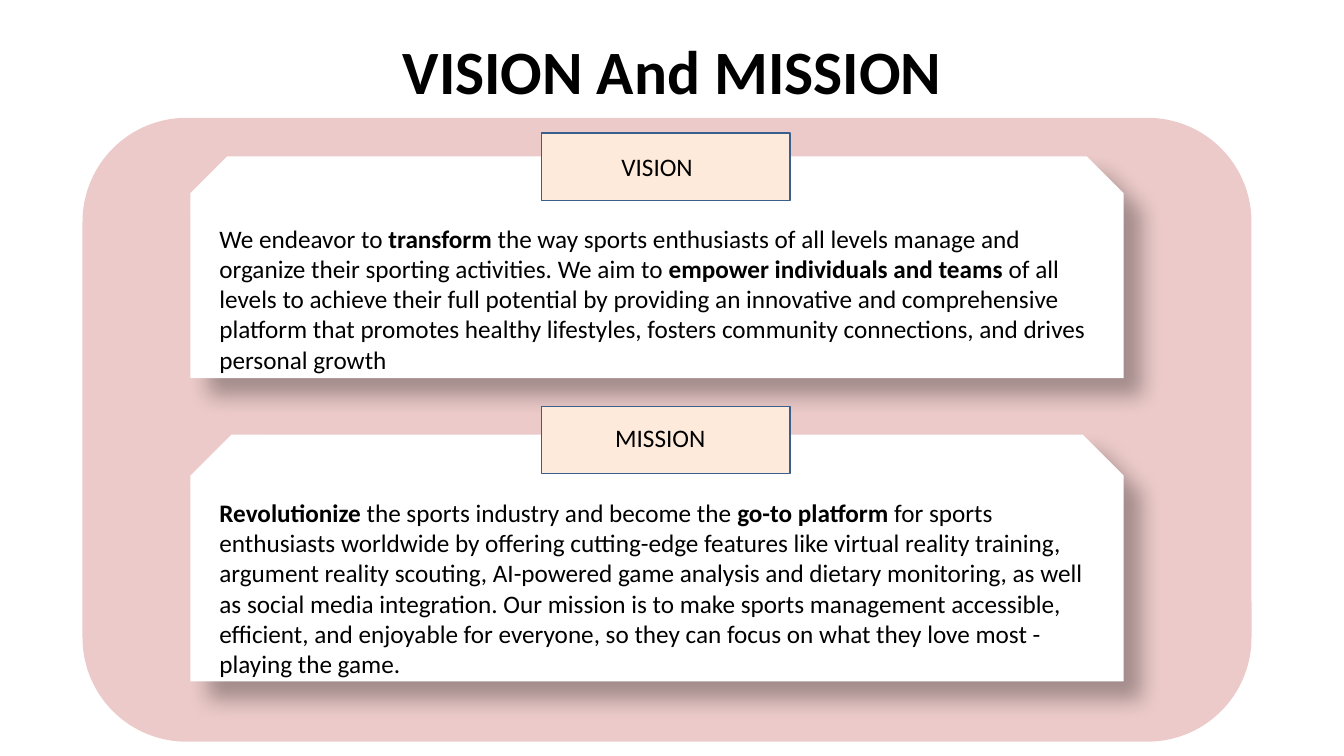
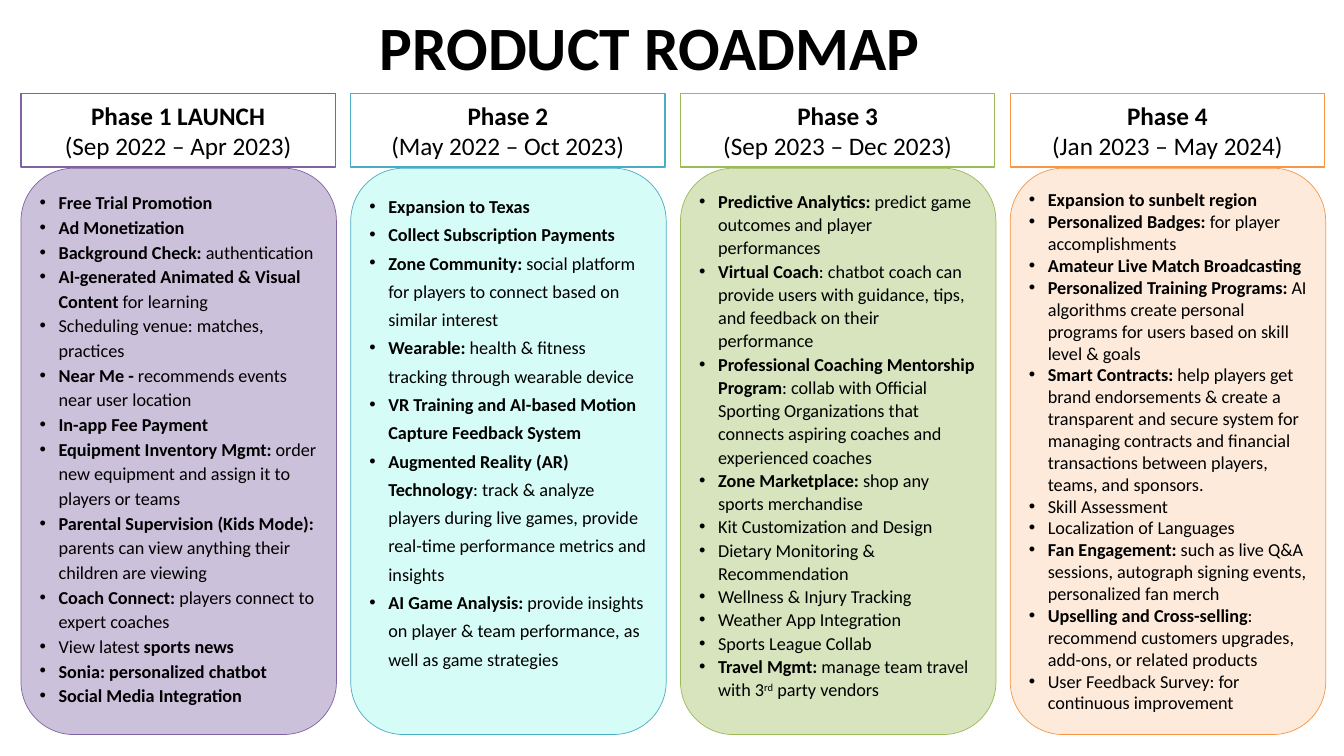
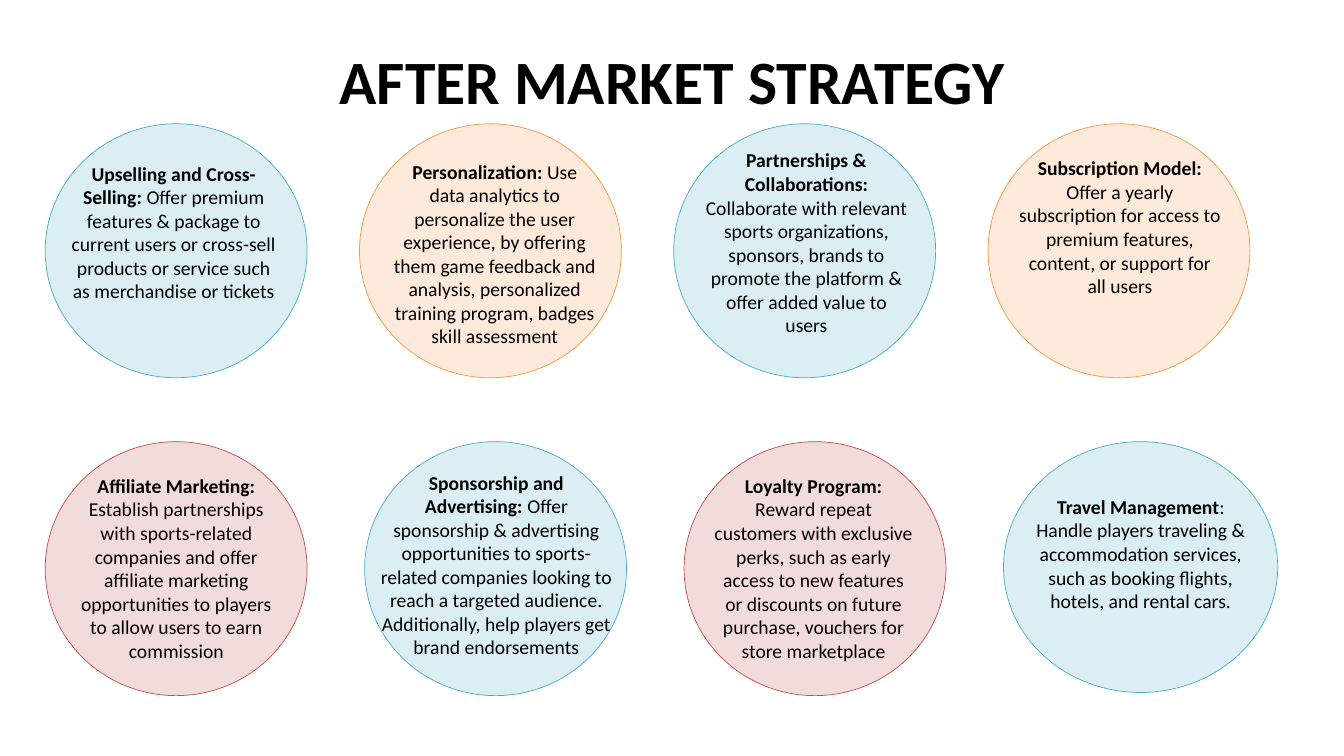
from lxml.etree import SubElement
from pptx import Presentation
from pptx.dml.color import RGBColor
from pptx.enum.shapes import MSO_SHAPE
from pptx.enum.text import MSO_ANCHOR, PP_ALIGN
from pptx.oxml.ns import qn
from pptx.util import Cm, Pt

FONT = "Calibri"
BLACK, WHITE = "000000", "FFFFFF"
ROSE, PEACH, SKY, BLUSH = "D99694", "FDEADA", "DBEEF4", "F2DCDB"
LAVENDER, MINT, SAGE = "CCC1DA", "D5FCF6", "D7E4BD"
NAVY, PURPLE, TEAL, GREEN, ORANGE, RED = (
    "3A5F8C", "8064A2", "4BACC6", "9BBB59", "F79646", "C0504D")

STATEMENTS = [
    (3.94, 5.59, 3.35, (12.9, 3.68), 5.49, "VISION",
     "We endeavor to *transform* the way sports enthusiasts of all levels manage and "
     "organize their sporting activities. We aim to *empower individuals and teams *of all "
     "levels to achieve their full potential by providing an innovative and comprehensive "
     "platform that promotes healthy lifestyles, fosters community connections, and drives "
     "personal growth"),
    (10.95, 6.22, 10.24, (12.98, 10.52), 12.4, "MISSION",
     "*Revolutionize* the sports industry and become the *go-to platform *for sports "
     "enthusiasts worldwide by offering cutting-edge features like virtual reality training, "
     "argument reality scouting, AI-powered game analysis and dietary monitoring, as well "
     "as social media integration. Our mission is to make sports management accessible, "
     "efficient, and enjoyable for everyone, so they can focus on what they love most - "
     "playing the game."),
]

PHASES = [
    ("Phase 1 LAUNCH", "(Sep 2022 – Apr 2023)", LAVENDER, PURPLE, 17.6, [
        "*Free Trial Promotion*",
        "*Ad Monetization*",
        "*Background Check: *authentication",
        "*AI-generated Animated & Visual Content *for learning",
        "Scheduling venue: matches, practices",
        "*Near Me -* recommends events near user location",
        "*In-app Fee Payment*",
        "*Equipment Inventory Mgmt:* order new equipment and assign it to players or teams",
        "*Parental Supervision (Kids Mode):* parents can view anything their children "
        "are viewing",
        "*Coach Connect: *players connect to expert coaches",
        "View latest *sports news*",
        "*Sonia: personalized chatbot*",
        "*Social Media Integration*",
    ]),
    ("Phase 2", "(May 2022 – Oct 2023)", MINT, TEAL, 20.2, [
        "*Expansion to Texas*",
        "*Collect Subscription Payments*",
        "*Zone Community: *social platform for players to connect based on similar interest",
        "*Wearable: *health & fitness tracking through wearable device",
        "*VR Training and AI-based Motion Capture Feedback System*",
        "*Augmented Reality (AR) Technology*: track & analyze players during live games, "
        "provide real-time performance metrics and insights",
        "*AI Game Analysis: *provide insights on player & team performance, as well as "
        "game strategies",
    ]),
    ("Phase 3", "(Sep 2023 – Dec 2023)", SAGE, GREEN, 16.6, [
        "*Predictive Analytics: *predict game outcomes and player performances",
        "*Virtual Coach*: chatbot coach can provide users with guidance, tips, and feedback "
        "on their performance",
        "*Professional Coaching Mentorship Program*: collab with Official Sporting "
        "Organizations that connects aspiring coaches and experienced coaches",
        "*Zone Marketplace: *shop any sports merchandise",
        "Kit Customization and Design",
        "Dietary Monitoring & Recommendation",
        "Wellness & Injury Tracking",
        "Weather App Integration",
        "Sports League Collab",
        "*Travel Mgmt:* manage team travel with 3^rd^ party vendors",
    ]),
    ("Phase 4", "(Jan 2023 – May 2024)", PEACH, ORANGE, None, [
        "*Expansion to sunbelt region*",
        "*Personalized Badges: *for player accomplishments",
        "*Amateur Live Match Broadcasting*",
        "*Personalized Training Programs: *AI algorithms create personal programs for users "
        "based on skill level & goals",
        "*Smart Contracts: *help players get brand endorsements & create a transparent and "
        "secure system for managing contracts and financial transactions between players, "
        "teams, and sponsors.",
        "Skill Assessment",
        "Localization of Languages",
        "*Fan Engagement: *such as live Q&A sessions, autograph signing events, "
        "personalized fan merch",
        "*Upselling and Cross-selling*: recommend customers upgrades, add-ons, or related "
        "products",
        "User Feedback Survey: for continuous improvement",
    ]),
]

UPPER_STRATEGIES = [
    (SKY, TEAL, (1.42, 3.94, 5.92, 3.84), [
        "*Upselling and Cross-Selling: *Offer premium features & package to current users "
        "or cross-sell products or service such as merchandise or tickets"]),
    (PEACH, ORANGE, (9.65, 3.89, 5.64, 5.1), [
        "*Personalization: *Use data analytics to personalize the user experience, by "
        "offering them game feedback and analysis, personalized training program, badges "
        "skill assessment"]),
    (SKY, TEAL, (17.53, 3.61, 5.59, 5.05), [
        "*Partnerships & Collaborations: *Collaborate with relevant sports organizations, "
        "sponsors, brands to promote the platform & offer added value to users"]),
    (PEACH, ORANGE, (25.43, 3.81, 5.59, 3.84), [
        "*Subscription Model: *Offer a yearly subscription for access to premium features, "
        "content, or support for all users"]),
]
LOWER_STRATEGIES = [
    (BLUSH, RED, (1.65, 11.81, 5.59, 5.05), [
        "*Affiliate Marketing: *Establish partnerships with sports-related companies and "
        "offer affiliate marketing opportunities to players to allow users to earn "
        "commission"]),
    (SKY, TEAL, (9.32, 11.73, 6.38, 5.05), [
        "*Sponsorship and Advertising: *Offer sponsorship & advertising opportunities to "
        "sports-related companies looking to reach a targeted audience.",
        "Additionally, help players get brand endorsements"]),
    (BLUSH, RED, (17.75, 11.81, 5.51, 5.64), [
        "*Loyalty Program: *Reward repeat customers with exclusive perks, such as early "
        "access to new features or discounts on future purchase, vouchers for store "
        "marketplace"]),
    (SKY, TEAL, (25.7, 12.34, 6.1, 3.25), [
        "*Travel Management*: Handle players traveling & accommodation services, such as "
        "booking flights, hotels, and rental cars."]),
]


def rgb(value):
    return RGBColor.from_string(value)


def add_alpha(color, percent):
    SubElement(color, qn("a:alpha"), val=str(percent * 1000))


def add_box(slide, kind, place, fill, line=None, weight=1):
    box = slide.shapes.add_shape(kind, *map(Cm, place))
    box.shadow.inherit = False
    box.fill.solid()
    box.fill.fore_color.rgb = rgb(fill)
    if line:
        box.line.color.rgb = rgb(line)
        box.line.width = Pt(weight)
    else:
        box.line.fill.background()
    return box


def cast_shadow(box):
    effects = box._element.spPr.find(qn("a:effectLst"))
    shadow = SubElement(effects, qn("a:outerShdw"), blurRad=str(Pt(15)), dist=str(Pt(18)),
                        dir="2700000", algn="tl", rotWithShape="0")
    add_alpha(SubElement(shadow, qn("a:srgbClr"), val=BLACK), 30)


def add_bullet(paragraph):
    properties = paragraph._p.get_or_add_pPr()
    properties.set("marL", str(Cm(0.48)))
    properties.set("indent", str(-Cm(0.48)))
    SubElement(properties, qn("a:buFont"), typeface="Arial")
    SubElement(properties, qn("a:buChar"), char="•")


def add_runs(paragraph, marked, size):
    """Text between * is bold, text between ^ is superscript."""
    for i, part in enumerate(marked.split("*")):
        for j, piece in enumerate(part.split("^")):
            if not piece:
                continue
            run = paragraph.add_run()
            run.text = piece
            run.font.name = FONT
            run.font.size = Pt(size)
            run.font.bold = i % 2 == 1
            run.font.color.rgb = rgb(BLACK)
            if j % 2:
                run.font._element.set("baseline", "30000")


def write(holder, lines, size, align=PP_ALIGN.LEFT, anchor=MSO_ANCHOR.TOP,
          insets=(0.25, 0.13), spacing=None, bullets=False):
    frame = holder.text_frame
    frame.word_wrap = True
    frame.vertical_anchor = anchor
    frame.margin_left = frame.margin_right = Cm(insets[0])
    frame.margin_top = frame.margin_bottom = Cm(insets[1])
    for i, line in enumerate(lines):
        paragraph = frame.add_paragraph() if i else frame.paragraphs[0]
        paragraph.alignment = align
        if bullets:
            add_bullet(paragraph)
        if spacing:
            paragraph.line_spacing = spacing
        add_runs(paragraph, line, size)


def add_text(slide, place, lines, size, **style):
    write(slide.shapes.add_textbox(*map(Cm, place)), lines, size, **style)


def add_title_slide(deck, title, top, left=2.34, width=29.21):
    slide = deck.slides.add_slide(deck.slide_layouts[6])
    add_text(slide, (left, top, width, 2.16), [f"*{title}*"], 44,
             align=PP_ALIGN.CENTER, anchor=MSO_ANCHOR.MIDDLE, spacing=0.9)
    return slide


def build_vision(deck):
    slide = add_title_slide(deck, "VISION And MISSION", 0.81)
    panel = add_box(slide, MSO_SHAPE.ROUNDED_RECTANGLE, (2.08, 2.97, 29.46, 15.72), ROSE)
    add_alpha(panel._element.spPr.find(qn("a:solidFill"))[0], 50)
    for top, height, tag_top, label_at, body_top, label, body in STATEMENTS:
        card = add_box(slide, MSO_SHAPE.SNIP_2_SAME_RECTANGLE,
                       (4.8, top, 23.52, height), WHITE)
        cast_shadow(card)
        add_box(slide, MSO_SHAPE.RECTANGLE, (13.64, tag_top, 6.27, 1.7), PEACH, NAVY)
        add_text(slide, (*label_at, 7.32, 1.02), [label], 18, align=PP_ALIGN.CENTER)
        add_text(slide, (5.28, body_top, 22.58, 4.11), [body], 18)


def build_roadmap(deck):
    slide = add_title_slide(deck, "PRODUCT ROADMAP", 0.2, 8.36, 16.03)
    for i, (phase, dates, fill, line, spacing, features) in enumerate(PHASES):
        left = 0.53 + 8.31 * i
        column = add_box(slide, MSO_SHAPE.ROUNDED_RECTANGLE,
                         (left, 4.24, 7.95, 14.27), fill, line, 0.5)
        write(column, features, 13, insets=(0.08, 0.13), bullets=True,
              spacing=Pt(spacing) if spacing else None)
        header = add_box(slide, MSO_SHAPE.RECTANGLE, (left, 2.36, 7.92, 1.85), WHITE, line)
        write(header, [f"*{phase}*", dates], 18, align=PP_ALIGN.CENTER,
              anchor=MSO_ANCHOR.MIDDLE, insets=(0.25, 0.25))


def build_strategy(deck):
    slide = add_title_slide(deck, "AFTER MARKET STRATEGY", 1.04)
    rows = [(3.12, 7.92, UPPER_STRATEGIES), (11.13, 8.05, LOWER_STRATEGIES)]
    for top, step, strategies in rows:
        for i, (fill, line, text_place, lines) in enumerate(strategies):
            last_below = strategies is LOWER_STRATEGIES and i == 3
            size = (6.91, 6.32) if last_below else (6.6, 6.4)
            add_box(slide, MSO_SHAPE.OVAL, (1.14 + step * i, top, *size), fill, line, 0.5)
            add_text(slide, text_place, lines, 14, align=PP_ALIGN.CENTER)


def main():
    deck = Presentation()
    deck.slide_width, deck.slide_height = Cm(33.87), Cm(19.05)
    build_vision(deck)
    build_roadmap(deck)
    build_strategy(deck)
    deck.save("out.pptx")


if __name__ == "__main__":
    main()
